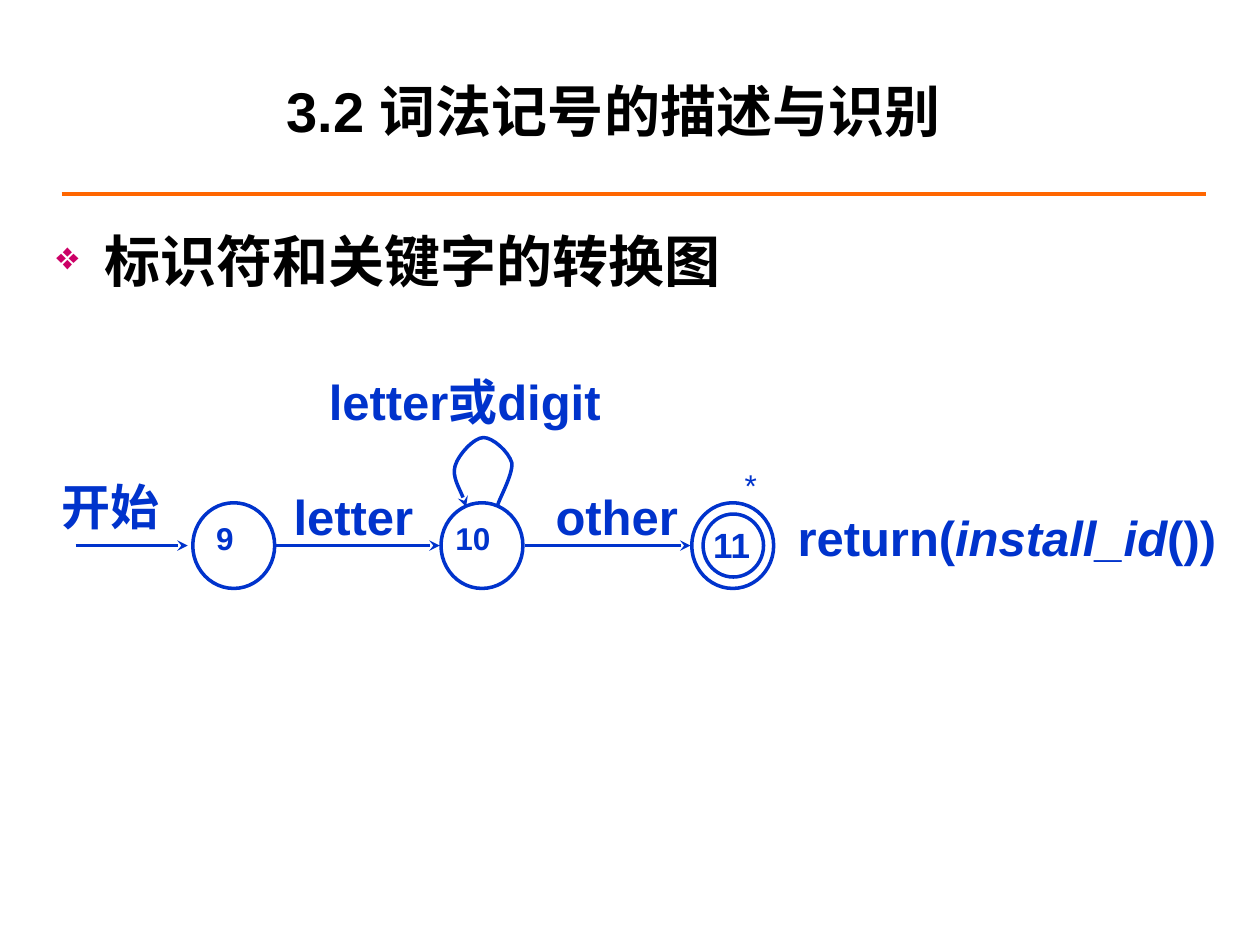
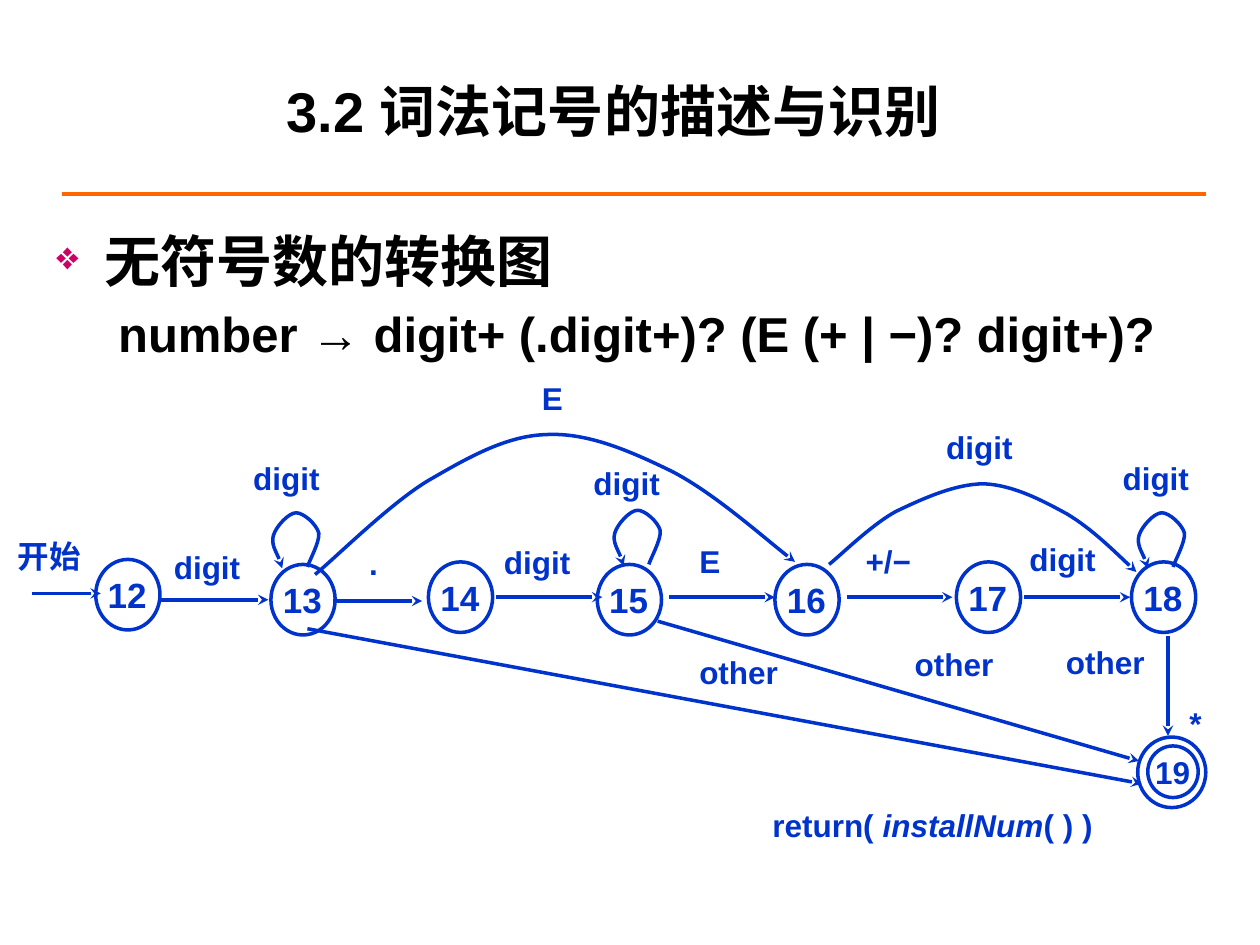
from lxml import etree
from pptx import Presentation
from pptx.dml.color import RGBColor
from pptx.enum.shapes import MSO_CONNECTOR, MSO_SHAPE
from pptx.enum.text import MSO_ANCHOR, PP_ALIGN
from pptx.oxml.ns import qn
from pptx.util import Inches, Pt

STRAIGHT = MSO_CONNECTOR.STRAIGHT
OVAL = MSO_SHAPE.OVAL
TOP, MIDDLE = MSO_ANCHOR.TOP, MSO_ANCHOR.MIDDLE
LEFT, CENTER = PP_ALIGN.LEFT, PP_ALIGN.CENTER

COLORS = {"text": "000000", "diagram": "0033CC", "rule": "FF6600", "bullet": "CC0066"}
FONT = "Arial"
TITLE = "3.2 词法记号的描述与识别 "
LABEL_INSETS = (0.06, 0.03, 0.06, 0.03)
STATE_INSETS = (0.02, 0.03, 0.02, 0.05)
BODY_INSETS = (0.1, 0.05, 0.1, 0.05)
BODY_INDENT = 0.38
LOOP_CURVE = [
    (0.01, -0.04), (0.1, -0.2), (0.09, -0.27),
    (0.07, -0.34), (-0.03, -0.43), (-0.09, -0.43),
    (-0.15, -0.43), (-0.25, -0.32), (-0.27, -0.25),
    (-0.29, -0.18), (-0.21, -0.05), (-0.2, 0.01),
]


def color(name):
    return RGBColor.from_string(COLORS[name])


def format_runs(paragraph, size, color_name, bold=True):
    for run in paragraph.runs:
        run.font.name = FONT
        run.font.size = Pt(size)
        run.font.bold = bold
        run.font.color.rgb = color(color_name)


def set_frame(text_frame, insets, anchor=TOP):
    text_frame.word_wrap = True
    text_frame.vertical_anchor = anchor
    left, top, right, bottom = insets
    text_frame.margin_left, text_frame.margin_top = Inches(left), Inches(top)
    text_frame.margin_right, text_frame.margin_bottom = Inches(right), Inches(bottom)


def add_text_box(slide, left, top, width, height, insets, anchor=TOP):
    box = slide.shapes.add_textbox(Inches(left), Inches(top), Inches(width), Inches(height))
    set_frame(box.text_frame, insets, anchor)
    return box.text_frame


def style_line(shape, color_name="diagram", width=2, arrow=False):
    shape.line.color.rgb = color(color_name)
    shape.line.width = Pt(width)
    if arrow:
        outline = shape.element.spPr.find(qn("a:ln"))
        etree.SubElement(outline, qn("a:tailEnd"), type="stealth")


def add_line(slide, x1, y1, x2, y2, **style):
    line = slide.shapes.add_connector(STRAIGHT, Inches(x1), Inches(y1), Inches(x2), Inches(y2))
    style_line(line, **style)
    etree.SubElement(line.element.spPr, qn("a:effectLst"))


def add_arrow(slide, x1, y1, x2, y2):
    add_line(slide, x1, y1, x2, y2, arrow=True)


def add_curve(slide, start, points):
    builder = slide.shapes.build_freeform(Inches(start[0]), Inches(start[1]))
    builder.add_line_segments([(Inches(x), Inches(y)) for x, y in points], close=False)
    shape = builder.convert_to_shape()
    segments = list(shape.element.iter(qn("a:lnTo")))
    for index in range(0, len(segments), 3):
        curve = etree.Element(qn("a:cubicBezTo"))
        segments[index].addprevious(curve)
        for segment in segments[index:index + 3]:
            curve.append(segment[0])
            segment.getparent().remove(segment)
    shape.shadow.inherit = False
    shape.fill.background()
    style_line(shape, arrow=True)


def add_loop(slide, x, y, scale=1):
    add_curve(slide, (x, y), [(x + scale * dx, y + scale * dy) for dx, dy in LOOP_CURVE])


def add_state(slide, left, top, width, height, name="", size=20, insets=STATE_INSETS):
    state = slide.shapes.add_shape(OVAL, Inches(left), Inches(top), Inches(width), Inches(height))
    state.shadow.inherit = False
    state.fill.background()
    style_line(state)
    if name:
        set_frame(state.text_frame, insets)
        state.text_frame.text = name
        paragraph = state.text_frame.paragraphs[0]
        paragraph.alignment = LEFT
        format_runs(paragraph, size, "diagram")


def add_label(slide, text, left, top, width=0.87, height=0.53, size=18, bold=True):
    frame = add_text_box(slide, left, top, width, height, LABEL_INSETS)
    frame.text = text
    format_runs(frame.paragraphs[0], size, "diagram", bold)


def add_action(slide, before, function, after, left, top, size):
    frame = add_text_box(slide, left, top, 3.47, 0.5, LABEL_INSETS)
    paragraph = frame.paragraphs[0]
    for text in (before, function, after):
        run = paragraph.add_run()
        run.text = text
        run.font.italic = text == function
    format_runs(paragraph, size, "diagram")


def indent(paragraph, left, first=0):
    properties = paragraph._p.get_or_add_pPr()
    properties.set("marL", str(Inches(left)))
    properties.set("indent", str(Inches(first)))
    return properties


def add_bullet(paragraph):
    properties = indent(paragraph, BODY_INDENT, -BODY_INDENT)
    bullet_color = etree.SubElement(properties, qn("a:buClr"))
    etree.SubElement(bullet_color, qn("a:srgbClr"), val=COLORS["bullet"])
    etree.SubElement(properties, qn("a:buSzPct"), val="70000")
    etree.SubElement(properties, qn("a:buChar"), char="❖")


def add_body(slide, heading, rule=None):
    frame = add_text_box(slide, 0.35, 1.75, 9.37, 1.37 if rule else 0.82, BODY_INSETS)
    frame.text = heading
    paragraph = frame.paragraphs[0]
    paragraph.space_before = Pt(6.4)
    add_bullet(paragraph)
    format_runs(paragraph, 32, "text")
    if rule:
        paragraph = frame.add_paragraph()
        paragraph.text = rule
        paragraph.space_before = Pt(5.6)
        indent(paragraph, 0.49)
        format_runs(paragraph, 28, "text")


def add_base_slide(presentation):
    slide = presentation.slides.add_slide(presentation.slide_layouts[6])
    add_line(slide, 0.49, 1.54, 9.57, 1.54, color_name="rule", width=2.25)
    frame = add_text_box(slide, 0.67, 0.25, 8.5, 1.25, BODY_INSETS, MIDDLE)
    frame.text = TITLE
    frame.paragraphs[0].alignment = CENTER
    format_runs(frame.paragraphs[0], 32, "text")
    return slide


def build_identifier_slide(presentation):
    slide = add_base_slide(presentation)
    add_body(slide, "标识符和关键字的转换图")

    state_top, state_width, state_height = 3.99, 0.65, 0.68
    add_state(slide, 1.53, state_top, state_width, state_height, "9", 18, (0.09, 0.03, 0.1, 0.05))
    add_state(slide, 3.5, state_top, state_width, state_height, "10", 18)
    add_state(slide, 5.49, state_top, state_width, state_height)
    add_state(slide, 5.58, 4.08, 0.48, 0.5, "11", 20, (0.01, 0, 0.01, 0))

    for start, end in [(0.6, 1.49), (2.18, 3.49), (4.17, 5.48)]:
        add_arrow(slide, start, 4.33, end, 4.33)
    add_loop(slide, 3.95, 4.01, 1.25)

    for text, left, top, width in [
        ("开始", 0.43, 3.75, 1.05),
        ("letter", 2.27, 3.83, 1.08),
        ("other", 4.35, 3.83, 1.2),
        ("letter或digit", 2.55, 2.92, 2.65),
    ]:
        add_label(slide, text, left, top, width, size=28)
    add_label(slide, "*", 5.85, 3.67, 0.33, 0.34, bold=False)
    add_action(slide, "return(", "install_id", "())", 6.27, 4, 28)


def build_number_slide(presentation):
    slide = add_base_slide(presentation)
    add_body(slide, "无符号数的转换图", "number → digit+ (.digit+)? (E (+ | −)? digit+)?")

    states = [(0.76, 4.44), (2.15, 4.48), (3.4, 4.46), (4.74, 4.48),
              (6.15, 4.48), (7.59, 4.46), (8.98, 4.46)]
    for number, (left, top) in enumerate(states, start=12):
        add_state(slide, left, top, 0.51, 0.56, str(number))
    add_state(slide, 9.03, 5.85, 0.54, 0.56)
    add_state(slide, 9.11, 5.92, 0.4, 0.41, "19", 18, (0, 0, 0, 0))

    for start, end, y in [
        (0.25, 0.8, 4.71), (1.28, 2.13, 4.76), (2.64, 3.35, 4.77), (3.94, 4.78, 4.74),
        (5.31, 6.15, 4.74), (6.72, 7.56, 4.74), (8.13, 8.97, 4.74),
    ]:
        add_arrow(slide, start, y, end, y)
    add_arrow(slide, 9.27, 5.05, 9.27, 5.84)
    add_arrow(slide, 5.22, 4.93, 9.04, 6.04)
    add_arrow(slide, 2.44, 4.99, 9.06, 6.22)

    for x, y in [(2.44, 4.5), (5.15, 4.48), (9.31, 4.5)]:
        add_loop(slide, x, y)
    add_curve(slide, (2.5, 4.56), [
        (2.65, 4.44), (3.08, 4.01), (3.39, 3.82),
        (3.7, 3.64), (4.01, 3.46), (4.33, 3.45),
        (4.66, 3.43), (5, 3.58), (5.33, 3.74),
        (5.66, 3.91), (6.11, 4.31), (6.31, 4.46),
    ])
    add_curve(slide, (6.58, 4.48), [
        (6.67, 4.41), (6.91, 4.17), (7.11, 4.06),
        (7.32, 3.96), (7.58, 3.84), (7.81, 3.84),
        (8.04, 3.85), (8.27, 3.97), (8.47, 4.08),
        (8.67, 4.2), (8.91, 4.44), (9.02, 4.54),
    ])

    for left, top in [(1.32, 4.32), (1.95, 3.61), (3.94, 4.28), (4.65, 3.65),
                      (8.11, 4.26), (8.85, 3.61), (7.45, 3.37)]:
        add_label(slide, "digit", left, top)
    for left, top in [(8.4, 5.07), (7.2, 5.09), (5.49, 5.15)]:
        add_label(slide, "other", left, top, 1.07)
    for text, left, top, width in [
        ("开始", 0.08, 4.23, 0.83),
        (".", 2.87, 4.29, 0.46),
        ("E", 5.49, 4.27, 0.82),
        ("E", 4.24, 2.98, 0.58),
        ("+/−", 6.81, 4.27, 0.82),
        ("*", 9.38, 5.56, 0.45),
    ]:
        add_label(slide, text, left, top, width)
    add_action(slide, "return( ", "installNum", "( ) )", 6.07, 6.37, 18)


def main():
    presentation = Presentation()
    presentation.slide_width = Inches(10)
    presentation.slide_height = Inches(7.5)
    build_identifier_slide(presentation)
    build_number_slide(presentation)
    presentation.save("out.pptx")


if __name__ == "__main__":
    main()
